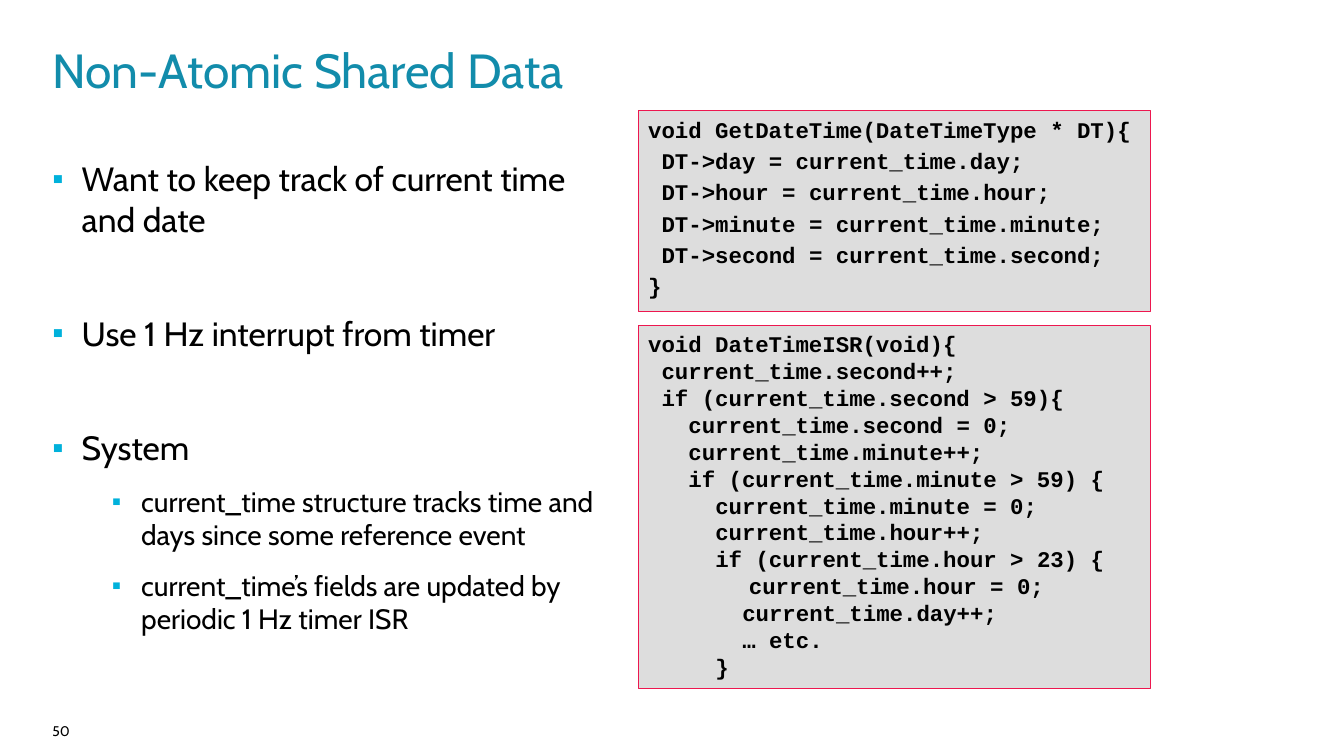
import dataclasses

import pptx
import pptx.dml.color
import pptx.enum.shapes
import pptx.enum.text
import pptx.oxml
import pptx.oxml.ns
import pptx.util
from pptx.util import Inches


@dataclasses.dataclass(frozen=True)
class Theme:
    """Colours, fonts and type sizes of the slide."""
    text: str = "000000"
    title: str = "128CAB"
    bullet: str = "00B1DB"
    code_fill: str = "DDDDDD"
    code_line: str = "ED174F"
    font: str = "Cabin"
    code_font: str = "Courier New"
    title_size: float = 34.2
    body_sizes: tuple = (24, 20)
    code_size: float = 16
    code_leading: float = 19.2
    number_size: float = 10


THEME = Theme()
CHARACTER_WIDTH = 0.6 * THEME.code_size / 72

BULLETS = [
    (0, 12, "Want to keep track of current time and date"),
    (0, 52.8, "Use 1 Hz interrupt from timer"),
    (0, 52.8, "System"),
    (1, 12, "current_time structure tracks time and days since some reference event"),
    (1, 12, "current_time’s fields are updated by periodic 1 Hz timer ISR"),
]

GET_DATE_TIME = [
    (0, "void GetDateTime(DateTimeType * DT){"),
    (1, "DT->day = current_time.day;"),
    (1, "DT->hour = current_time.hour;"),
    (1, "DT->minute = current_time.minute;"),
    (1, "DT->second = current_time.second;"),
    (0, "}"),
]

DATE_TIME_ISR = [
    (0, "void DateTimeISR(void){"),
    (1, "current_time.second++;"),
    (1, "if (current_time.second > 59){"),
    (3, "current_time.second = 0;"),
    (3, "current_time.minute++;"),
    (3, "if (current_time.minute > 59) {"),
    (5, "current_time.minute = 0;"),
    (5, "current_time.hour++;"),
    (5, "if (current_time.hour > 23) {"),
    (7.5, "current_time.hour = 0;"),
    (7, "current_time.day++;"),
    (7, "… etc."),
    (5, "}"),
]


def rgb(value):
    """Return a colour from its hexadecimal value."""
    return pptx.dml.color.RGBColor.from_string(value)


def place(shape, left, top, width, height):
    """Move and size a shape, in inches."""
    shape.left, shape.top = Inches(left), Inches(top)
    shape.width, shape.height = Inches(width), Inches(height)


def prepare_frame(shape, margins, anchor=pptx.enum.text.MSO_ANCHOR.TOP):
    """Set the margins, wrapping and anchor of a shape's text frame."""
    frame = shape.text_frame
    frame.word_wrap = True
    frame.auto_size = pptx.enum.text.MSO_AUTO_SIZE.NONE
    frame.vertical_anchor = anchor
    (frame.margin_left, frame.margin_top,
     frame.margin_right, frame.margin_bottom) = map(Inches, margins)
    return frame


def add_paragraph(frame, index):
    """Return the first paragraph or a new one, aligned left."""
    paragraph = frame.add_paragraph() if index else frame.paragraphs[0]
    paragraph.alignment = pptx.enum.text.PP_ALIGN.LEFT
    return paragraph


def add_run(paragraph, text, size, color=THEME.text, font=THEME.font, bold=False):
    """Add a formatted run to a paragraph."""
    run = paragraph.add_run()
    run.text = text
    run.font.name = font
    run.font.size = pptx.util.Pt(size)
    run.font.bold = bold
    run.font.color.rgb = rgb(color)


def set_indent(paragraph, left, first=0):
    """Set the left and first-line indents of a paragraph, in inches."""
    properties = paragraph._p.get_or_add_pPr()
    properties.set("marL", str(Inches(left)))
    properties.set("indent", str(Inches(first)))
    return properties


def set_bullet(properties):
    """Give paragraph properties the square bullet."""
    namespace = pptx.oxml.ns.nsdecls("a")
    for element in (
        f'<a:buClr {namespace}><a:srgbClr val="{THEME.bullet}"/></a:buClr>',
        f'<a:buSzPct {namespace} val="95000"/>',
        f'<a:buChar {namespace} char="▪"/>',
    ):
        properties.append(pptx.oxml.parse_xml(element))


def fill_title(shape, text):
    """Place and write the title."""
    place(shape, 0.52, 0.37, 12.2, 0.63)
    frame = prepare_frame(shape, (0, 0, 0, 0), pptx.enum.text.MSO_ANCHOR.MIDDLE)
    add_run(add_paragraph(frame, 0), text, THEME.title_size, THEME.title)


def fill_body(shape, bullets):
    """Place the body and write its bulleted list."""
    place(shape, 0.52, 1.57, 5.39, 5.12)
    frame = prepare_frame(shape, (0, 0, 0, 0))
    for index, (level, space_before, text) in enumerate(bullets):
        paragraph = add_paragraph(frame, index)
        paragraph.level = level
        paragraph.space_before = pptx.util.Pt(space_before)
        set_bullet(set_indent(paragraph, 0.29 + 0.59 * level, -0.29))
        add_run(paragraph, text, THEME.body_sizes[level])


def add_code_box(slide, top, height, lines, space_before=0):
    """Add a framed box of code, each line indented by its columns."""
    shape = slide.shapes.add_shape(
        pptx.enum.shapes.MSO_SHAPE.RECTANGLE,
        Inches(6.33), Inches(top), Inches(5.08), Inches(height))
    shape.shadow.inherit = False
    shape.fill.solid()
    shape.fill.fore_color.rgb = rgb(THEME.code_fill)
    shape.line.color.rgb = rgb(THEME.code_line)
    shape.line.width = pptx.util.Pt(0.75)
    frame = prepare_frame(shape, (0.1, 0.05, 0.1, 0.05))
    for index, (columns, text) in enumerate(lines):
        paragraph = add_paragraph(frame, index)
        paragraph.line_spacing = pptx.util.Pt(THEME.code_leading)
        paragraph.space_before = pptx.util.Pt(space_before if index else 0)
        set_indent(paragraph, columns * CHARACTER_WIDTH)
        add_run(paragraph, text, THEME.code_size, font=THEME.code_font, bold=True)


def add_page_number(slide, number):
    """Add the page number at the bottom left."""
    shape = slide.shapes.add_textbox(
        Inches(0.52), Inches(7.17), Inches(1.42), Inches(0.26))
    frame = prepare_frame(shape, (0, 0, 0.1, 0))
    add_run(add_paragraph(frame, 0), number, THEME.number_size)


def main():
    """Build and save the slide."""
    presentation = pptx.Presentation()
    presentation.slide_width = Inches(13.33)
    presentation.slide_height = Inches(7.5)
    slide = presentation.slides.add_slide(presentation.slide_layouts[1])
    fill_title(slide.shapes.title, "Non-Atomic Shared Data")
    fill_body(slide.placeholders[1], BULLETS)
    add_code_box(slide, 1.1, 1.99, GET_DATE_TIME, space_before=3.2)
    add_code_box(slide, 3.23, 3.6, DATE_TIME_ISR)
    add_page_number(slide, "50")
    presentation.save("out.pptx")


if __name__ == "__main__":
    main()
